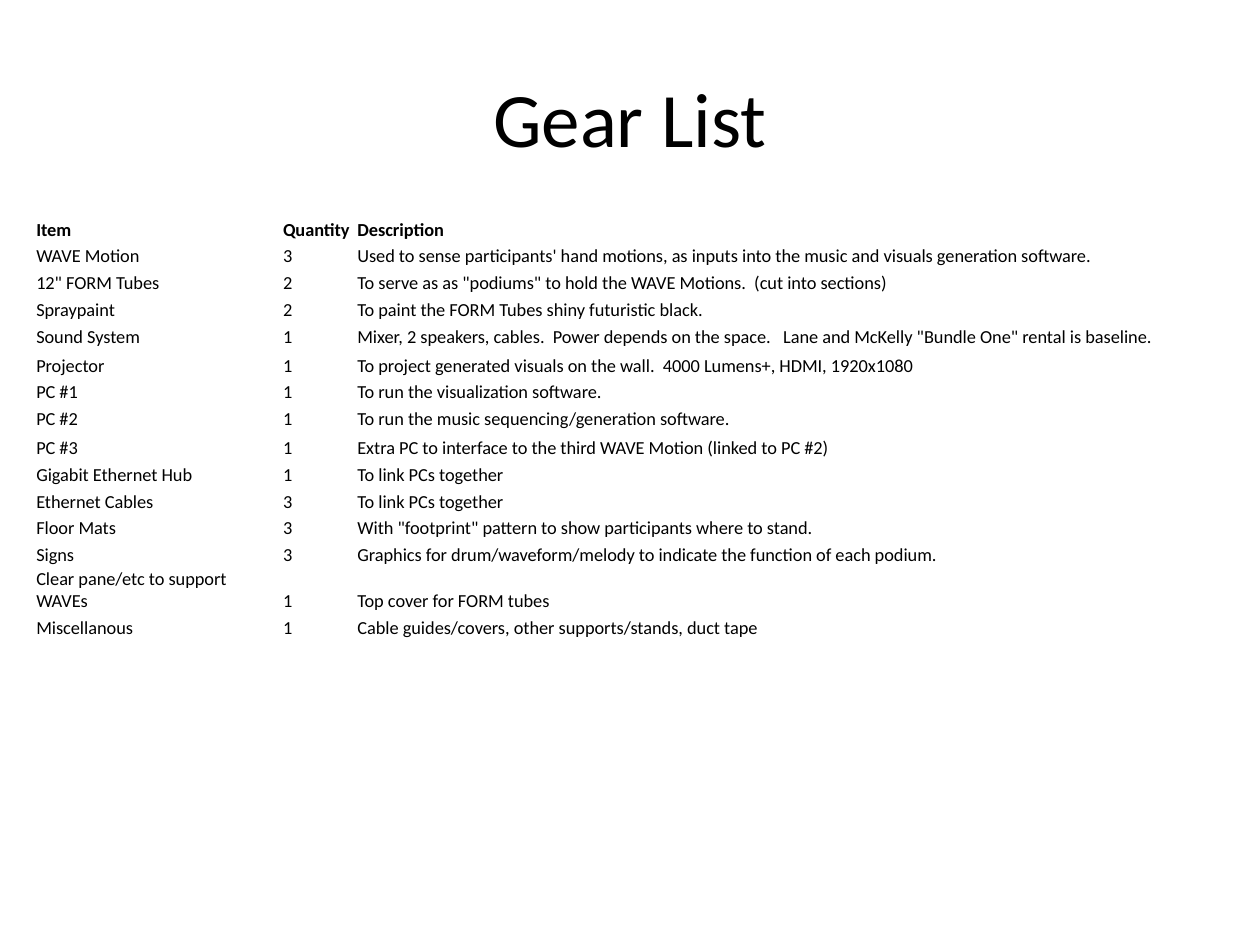
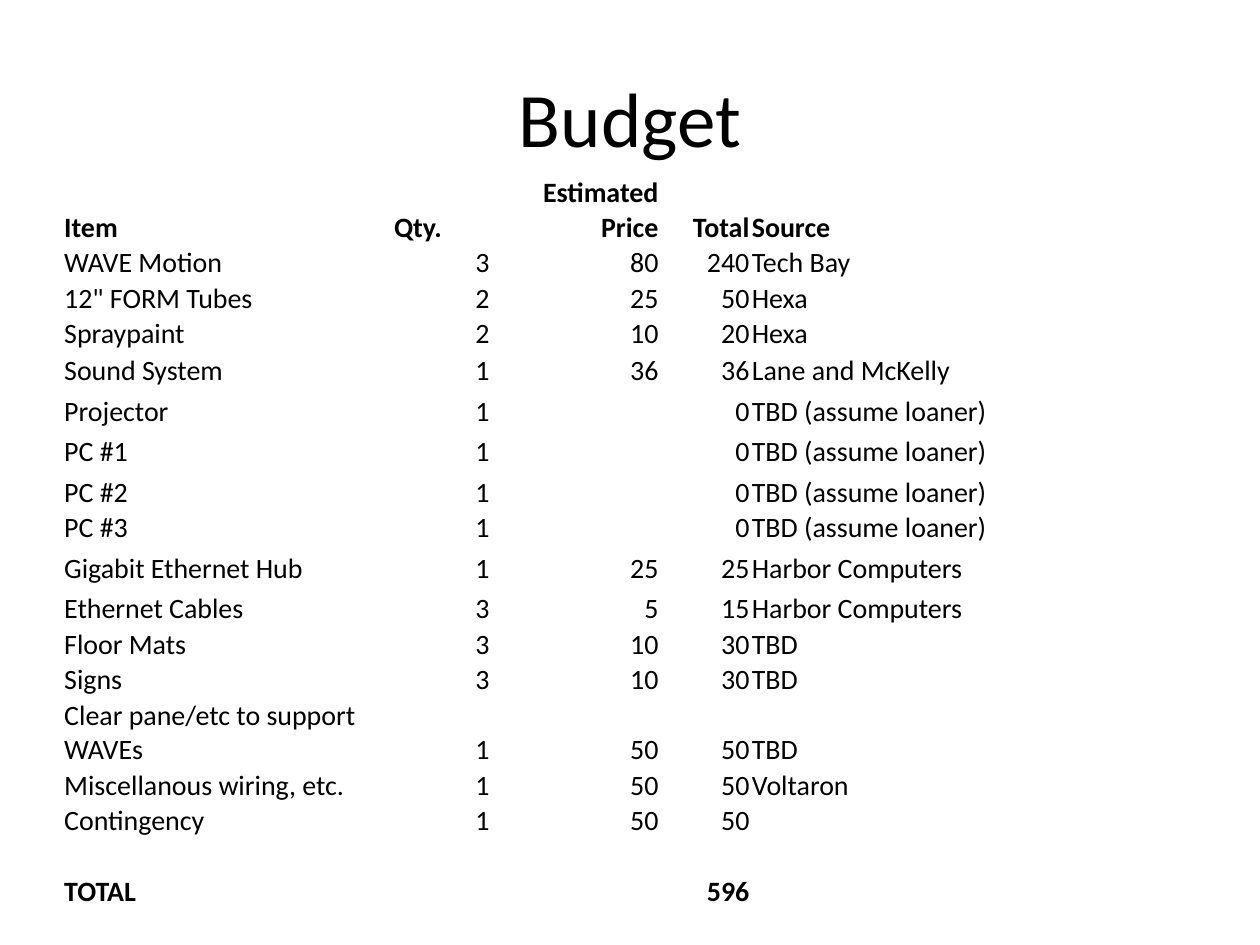
from lxml import etree
from pptx import Presentation
from pptx.dml.color import RGBColor
from pptx.enum.text import MSO_ANCHOR, PP_ALIGN
from pptx.oxml.ns import qn
from pptx.util import Pt

BLACK = RGBColor(0x00, 0x00, 0x00)
FONT = "Calibri"
LEFT, CENTER, RIGHT = PP_ALIGN.LEFT, PP_ALIGN.CENTER, PP_ALIGN.RIGHT
MIDDLE, BOTTOM = MSO_ANCHOR.MIDDLE, MSO_ANCHOR.BOTTOM
TITLE_ONLY = 5
TITLE_BOX = (36, 21.6, 648, 90)
INSET = 0.72

GEAR_HEADER = ("Item", "Quantity", "Description")
GEAR = [
    ("WAVE Motion", 3, "Used to sense participants' hand motions, as inputs into the music and visuals generation software."),
    ('12" FORM Tubes', 2, 'To serve as as "podiums" to hold the WAVE Motions.  (cut into sections)'),
    ("Spraypaint", 2, "To paint the FORM Tubes shiny futuristic black."),
    ("Sound System", 1, 'Mixer, 2 speakers, cables.  Power depends on the space.   Lane and McKelly "Bundle One" rental is baseline.'),
    ("Projector", 1, "To project generated visuals on the wall.  4000 Lumens+, HDMI, 1920x1080"),
    ("PC #1", 1, "To run the visualization software."),
    ("PC #2", 1, "To run the music sequencing/generation software."),
    ("PC #3", 1, "Extra PC to interface to the third WAVE Motion (linked to PC #2)"),
    ("Gigabit Ethernet Hub", 1, "To link PCs together"),
    ("Ethernet Cables", 3, "To link PCs together"),
    ("Floor Mats", 3, 'With "footprint" pattern to show participants where to stand.'),
    ("Signs", 3, "Graphics for drum/waveform/melody to indicate the function of each podium."),
    ("Clear pane/etc to support WAVEs", 1, "Top cover for FORM tubes"),
    ("Miscellanous", 1, "Cable guides/covers, other supports/stands, duct tape"),
]

LOANER = "TBD (assume loaner)"
BUDGET_HEADER = ("Item", "Qty.", "Estimated Price", "Total", "Source")
BUDGET = [
    ("WAVE Motion", 3, 80, "Tech Bay"),
    ('12" FORM Tubes', 2, 25, "Hexa"),
    ("Spraypaint", 2, 10, "Hexa"),
    ("Sound System", 1, 36, "Lane and McKelly"),
    ("Projector", 1, None, LOANER),
    ("PC #1", 1, None, LOANER),
    ("PC #2", 1, None, LOANER),
    ("PC #3", 1, None, LOANER),
    ("Gigabit Ethernet Hub", 1, 25, "Harbor Computers"),
    ("Ethernet Cables", 3, 5, "Harbor Computers"),
    ("Floor Mats", 3, 10, "TBD"),
    ("Signs", 3, 10, "TBD"),
    ("Clear pane/etc to support WAVEs", 1, 50, "TBD"),
    ("Miscellanous wiring, etc.", 1, 50, "Voltaron"),
    ("Contingency", 1, 50, None),
]


def add_text(para, text, size, bold=False):
    span = para.add_run()
    span.text = text
    span.font.name = FONT
    span.font.size = Pt(size)
    span.font.bold = bold
    span.font.color.rgb = BLACK


def add_titled_page(deck, heading):
    page = deck.slides.add_slide(deck.slide_layouts[TITLE_ONLY])
    title = page.shapes.title
    title.left, title.top, title.width, title.height = map(Pt, TITLE_BOX)
    title.text_frame.vertical_anchor = MIDDLE
    para = title.text_frame.paragraphs[0]
    para.alignment = CENTER
    add_text(para, heading, 44)
    return page


def fill_cell(cell, value, size, bold, alignment):
    cell.fill.background()
    cell.vertical_anchor = BOTTOM
    cell.margin_left = cell.margin_right = cell.margin_top = Pt(INSET)
    cell.margin_bottom = 0
    para = cell.text_frame.paragraphs[0]
    para.alignment = alignment
    if value is None:
        etree.SubElement(para._p, qn("a:endParaRPr"), sz=str(size * 100))
    else:
        add_text(para, str(value), size, bold)


def add_plain_table(page, left, top, widths, heights, records, size, bold_rows, alignment_at):
    table = page.shapes.add_table(
        len(records), len(widths), Pt(left), Pt(top), Pt(sum(widths)), Pt(sum(heights))
    ).table
    table.first_row = table.horz_banding = False
    for column, width in zip(table.columns, widths):
        column.width = Pt(width)
    for row_index, (record, height) in enumerate(zip(records, heights)):
        table.rows[row_index].height = Pt(height)
        for column_index, value in enumerate(record):
            fill_cell(table.cell(row_index, column_index), value, size,
                      row_index in bold_rows, alignment_at(row_index, column_index))


def build_gear_page(deck):
    page = add_titled_page(deck, "Gear List")
    records = [GEAR_HEADER] + GEAR
    heights = [16.6 if index in (5, 8) else 15.3 for index in range(len(records))]
    add_plain_table(page, 20, 122.4, (141, 42.5, 486), heights, records, 10.5, {0},
                    lambda row, column: LEFT)


def build_budget_page(deck):
    page = add_titled_page(deck, "Budget")
    lines = [(item, quantity, price, quantity * (price or 0), source)
             for item, quantity, price, source in BUDGET]
    grand_total = sum(line[3] for line in lines)
    records = [BUDGET_HEADER] + lines + [(None,) * 5, ("TOTAL", None, None, grand_total, None)]
    special_heights = {4: 21, **dict.fromkeys((5, 6, 7, 9, 10), 23.2)}
    heights = [special_heights.get(index, 18.9) for index in range(len(records))]

    def alignment_at(row, column):
        first_right = 2 if row == 0 else 1
        return RIGHT if first_right <= column <= 3 else LEFT

    add_plain_table(page, 36, 100, (188.5, 56, 96.5, 52, 242.5), heights, records, 16,
                    {0, len(records) - 1}, alignment_at)


def main():
    deck = Presentation()
    deck.slide_width, deck.slide_height = Pt(720), Pt(540)
    build_gear_page(deck)
    build_budget_page(deck)
    deck.save("out.pptx")


if __name__ == "__main__":
    main()
